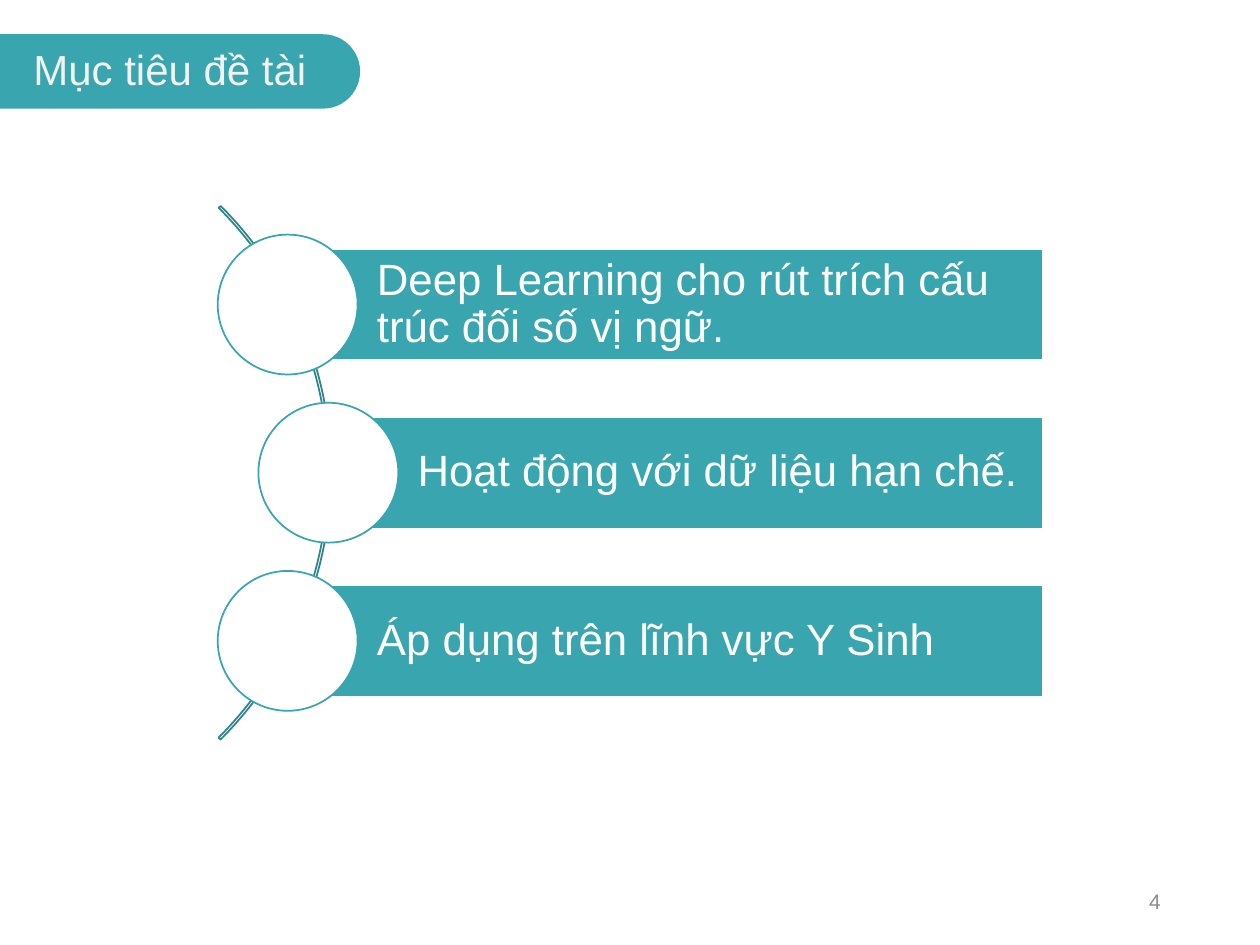
from pptx import Presentation
from pptx.dml.color import RGBColor
from pptx.enum.shapes import MSO_SHAPE
from pptx.enum.text import MSO_ANCHOR, PP_ALIGN
from pptx.util import Cm, Pt

TITLE = "Mục tiêu đề tài"
GOALS = [
    "Deep Learning cho rút trích cấu trúc đối số vị ngữ.",
    "Hoạt động với dữ liệu hạn chế.",
    "Áp dụng trên lĩnh vực Y Sinh",
]
PAGE_NUMBER = "4"

THEME = {
    "font": "Arial",
    "teal": "39A5AE",
    "dark_teal": "2E848B",
    "white": "FFFFFF",
    "title": "F2F2F2",
    "grey": "8C8C8C",
    "title_size": 24,
    "goal_size": 25,
    "page_size": 12,
}

TAB_LENGTH, TAB_HEIGHT, TAB_CENTER_Y = 7.26, 1.5, 1.44
ARC_CENTER_X, ARC_DIAMETER = -0.93, 15.21
MIDDLE_Y, ROW_PITCH = 9.53, 3.39
OUTER_X, MIDDLE_X = 5.8, 6.62
BAR_RIGHT, BAR_HEIGHT = 21.02, 2.25
CIRCLE = 2.82


def add_outline(slide, preset, center_x, center_y, width, height, fill=None, line=None):
    shape = slide.shapes.add_shape(
        preset, Cm(center_x - width / 2), Cm(center_y - height / 2), Cm(width), Cm(height)
    )
    shape.shadow.inherit = False
    if fill:
        shape.fill.solid()
        shape.fill.fore_color.rgb = RGBColor.from_string(THEME[fill])
    else:
        shape.fill.background()
    if line:
        shape.line.color.rgb = RGBColor.from_string(THEME[line])
        shape.line.width = Pt(1)
    else:
        shape.line.fill.background()
    return shape


def write(shape, text, size, color, align, spacing=None):
    frame = shape.text_frame
    frame.word_wrap = True
    frame.vertical_anchor = MSO_ANCHOR.MIDDLE
    paragraph = frame.paragraphs[0]
    paragraph.alignment = align
    paragraph.line_spacing = spacing
    run = paragraph.add_run()
    run.text = text
    run.font.name = THEME["font"]
    run.font.size = Pt(THEME[size])
    run.font.color.rgb = RGBColor.from_string(THEME[color])


def add_header(slide):
    tab = add_outline(slide, MSO_SHAPE.ROUND_2_SAME_RECTANGLE, TAB_LENGTH / 2,
                      TAB_CENTER_Y, TAB_HEIGHT, TAB_LENGTH, "teal")
    tab.rotation = 270
    tab.adjustments[0] = 0
    tab.adjustments[1] = 0.5
    title = slide.shapes.add_textbox(Cm(0.25), Cm(0.7), Cm(6.35), Cm(TAB_HEIGHT))
    write(title, TITLE, "title_size", "title", PP_ALIGN.CENTER, 0.9)


def add_goals(slide):
    arc = add_outline(slide, MSO_SHAPE.BLOCK_ARC, ARC_CENTER_X, MIDDLE_Y,
                      ARC_DIAMETER, ARC_DIAMETER, line="dark_teal")
    for index, value in enumerate((189, 27, 0.0036)):
        arc.adjustments[index] = value

    middle = len(GOALS) // 2
    for row, goal in enumerate(GOALS):
        center_x = MIDDLE_X if row == middle else OUTER_X
        center_y = MIDDLE_Y + (row - middle) * ROW_PITCH
        bar = add_outline(slide, MSO_SHAPE.RECTANGLE, (center_x + BAR_RIGHT) / 2, center_y,
                          BAR_RIGHT - center_x, BAR_HEIGHT, "teal", "white")
        frame = bar.text_frame
        frame.margin_left = Cm(1.8)
        frame.margin_top = frame.margin_right = frame.margin_bottom = Cm(0.18)
        write(bar, goal, "goal_size", "white", PP_ALIGN.LEFT, 0.9)
        add_outline(slide, MSO_SHAPE.OVAL, center_x, center_y, CIRCLE, CIRCLE, "white", "teal")


def main():
    deck = Presentation()
    deck.slide_width, deck.slide_height = Cm(25.4), Cm(19.05)
    slide = deck.slides.add_slide(deck.slide_layouts[6])
    add_header(slide)
    add_goals(slide)
    page = slide.shapes.add_textbox(Cm(17.93), Cm(17.65), Cm(5.72), Cm(1.02))
    write(page, PAGE_NUMBER, "page_size", "grey", PP_ALIGN.RIGHT)
    deck.save("out.pptx")


if __name__ == "__main__":
    main()
